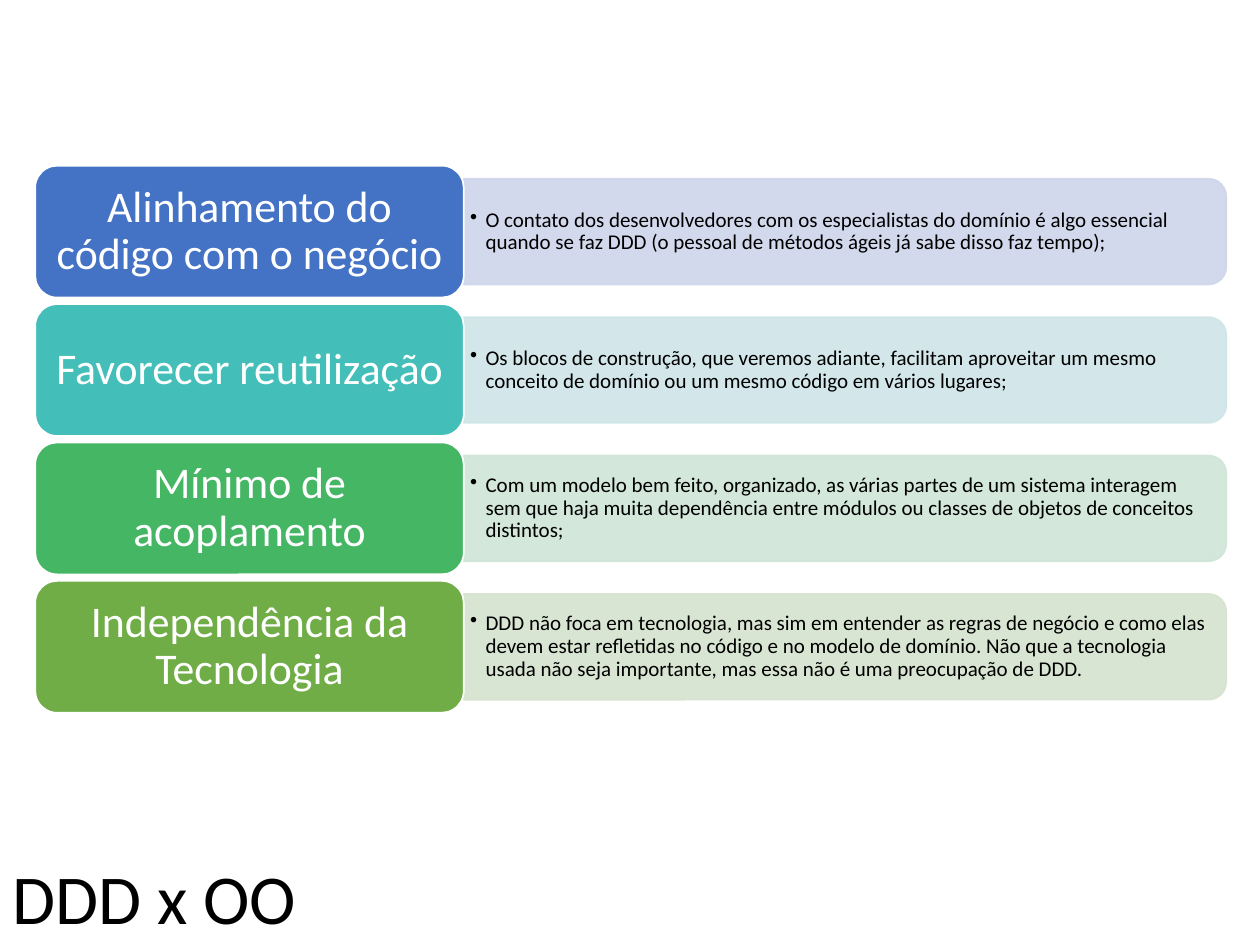
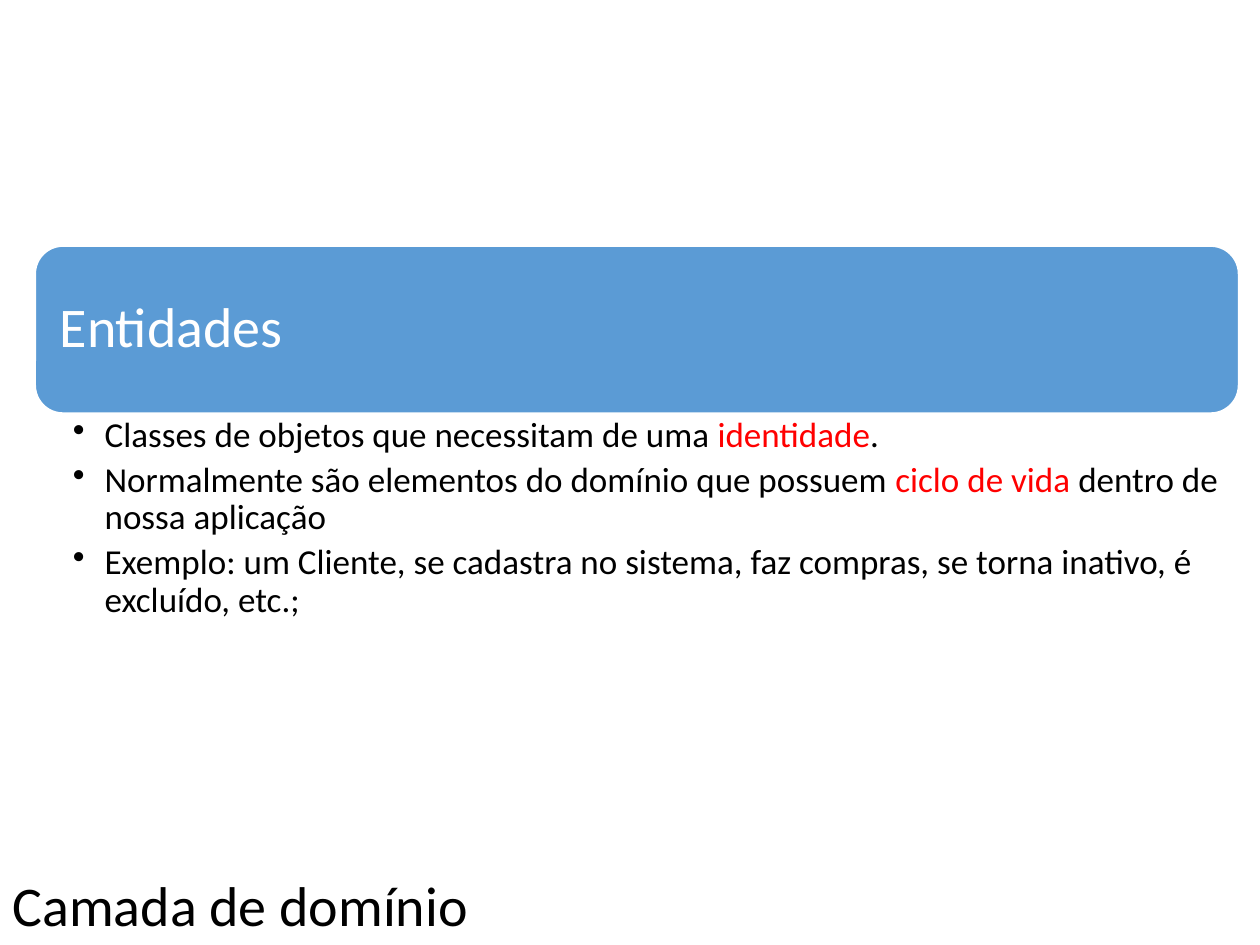
import pptx
import pptx.util
import pptx.dml.color
import pptx.enum.shapes
import pptx.enum.text
import pptx.oxml.ns
from lxml import etree

Cm, Pt = pptx.util.Cm, pptx.util.Pt
RGB = pptx.dml.color.RGBColor
Kind = pptx.enum.shapes.MSO_SHAPE
Align = pptx.enum.text.PP_ALIGN
Anchor = pptx.enum.text.MSO_ANCHOR
qn = pptx.oxml.ns.qn

WHITE = RGB(0xFF, 0xFF, 0xFF)
BLACK = RGB(0x00, 0x00, 0x00)
RED = RGB(0xFF, 0x00, 0x00)
INDIGO = RGB(0x44, 0x72, 0xC4)
TEAL = RGB(0x43, 0xBE, 0xB9)
GREEN = RGB(0x45, 0xB6, 0x64)
OLIVE = RGB(0x70, 0xAD, 0x47)
BLUE = RGB(0x5B, 0x9B, 0xD5)
PALE_INDIGO = RGB(0xCF, 0xD5, 0xEA)
PALE_TEAL = RGB(0xCF, 0xE5, 0xE8)
PALE_GREEN = RGB(0xCF, 0xE5, 0xD8)
PALE_OLIVE = RGB(0xD5, 0xE3, 0xCF)

WIDE, HIGH = 25.4, 19.05
LEFT = 0.71


def put(obj, **vals):
    for name, val in vals.items():
        setattr(obj, name, val)


class Deck:
    font = "Calibri"

    def __init__(self):
        self.prs = pptx.Presentation()
        put(self.prs, slide_width=Cm(WIDE), slide_height=Cm(HIGH))
        self.slide = None

    def page(self, title, top, size):
        """Start a slide with its title along the bottom edge."""
        self.slide = self.prs.slides.add_slide(self.prs.slide_layouts[5])
        head = self.slide.shapes.title
        put(head, left=Cm(0), top=Cm(top), width=Cm(WIDE), height=Cm(HIGH - top))
        self.frame(head, (0.25, 0.13, 0.25, 0.13), Anchor.TOP)
        self.words(head.text_frame.paragraphs[0], [(title, BLACK)], size,
                   alignment=Align.LEFT)

    def frame(self, shape, pads, anchor):
        left, top, right, base = map(Cm, pads)
        put(shape.text_frame, word_wrap=True, vertical_anchor=anchor,
            auto_size=pptx.enum.text.MSO_AUTO_SIZE.NONE,
            margin_left=left, margin_top=top,
            margin_right=right, margin_bottom=base)

    def words(self, par, runs, size, **style):
        put(par, **style)
        for text, color in runs:
            run = par.add_run()
            run.text = text
            put(run.font, name=self.font, size=Pt(size))
            run.font.color.rgb = color

    def block(self, kind, box, fill, line):
        shape = self.slide.shapes.add_shape(kind, *map(Cm, box))
        shape.shadow.inherit = False
        shape.fill.solid()
        shape.fill.fore_color.rgb = fill
        shape.line.color.rgb = line
        shape.line.width = Pt(1)
        return shape

    def card(self, box, fill, text, size, pads, align):
        """Rounded block with a white label."""
        shape = self.block(Kind.ROUNDED_RECTANGLE, box, fill, WHITE)
        self.frame(shape, pads, Anchor.MIDDLE)
        self.words(shape.text_frame.paragraphs[0], [(text, WHITE)], size,
                   alignment=align, line_spacing=0.9)

    def band(self, left, mid, wide, high, fill):
        """Pale strip, rounded at its right end: a turned upright shape."""
        box = (left + (wide - high) / 2, mid - wide / 2, high, wide)
        shape = self.block(Kind.ROUND_2_SAME_RECTANGLE, box, fill, fill)
        shape.rotation = 90
        for tone in shape.element.spPr.iter(qn("a:srgbClr")):
            etree.SubElement(tone, qn("a:alpha"), val="90000")

    def points(self, box, items, size, pads, anchor, indent, gap=0):
        """Bulleted text; each item is a list of (text, colour) runs."""
        area = self.slide.shapes.add_textbox(*map(Cm, box))
        self.frame(area, pads, anchor)
        for n, runs in enumerate(items):
            text = area.text_frame
            par = text.add_paragraph() if n else text.paragraphs[0]
            self.words(par, runs, size, alignment=Align.LEFT,
                       line_spacing=0.9, space_after=Pt(gap))
            props = par._p.get_or_add_pPr()
            props.set("marL", str(Cm(indent)))
            props.set("indent", str(-Cm(indent)))
            etree.SubElement(props, qn("a:buChar"), char="•")


deck = Deck()

# Slide 1: four goals, each a label with its explanation
deck.page("DDD x OO", 17.09, 40)
GOALS = [
    ("Alinhamento do código com o negócio", INDIGO, PALE_INDIGO,
     "O contato dos desenvolvedores com os especialistas do domínio é algo "
     "essencial quando se faz DDD (o pessoal de métodos ágeis já sabe disso "
     "faz tempo);"),
    ("Favorecer reutilização", TEAL, PALE_TEAL,
     "Os blocos de construção, que veremos adiante, facilitam aproveitar um "
     "mesmo conceito de domínio ou um mesmo código em vários lugares;"),
    ("Mínimo de acoplamento", GREEN, PALE_GREEN,
     "Com um modelo bem feito, organizado, as várias partes de um sistema "
     "interagem sem que haja muita dependência entre módulos ou classes de "
     "objetos de conceitos distintos;"),
    ("Independência da Tecnologia", OLIVE, PALE_OLIVE,
     "DDD não foca em tecnologia, mas sim em entender as regras de negócio e "
     "como elas devem estar refletidas no código e no modelo de domínio. Não "
     "que a tecnologia usada não seja importante, mas essa não é uma "
     "preocupação de DDD."),
]
TOP, STEP = 3.34, 2.79
CARD_W, CARD_H = 8.64, 2.66
BAND_W, BAND_H = 15.37, 2.13
TEXT_W, TEXT_H = 15.27, 1.91
edge = LEFT + CARD_W
for n, (label, dark, pale, note) in enumerate(GOALS):
    top = TOP + n * STEP
    mid = top + CARD_H / 2
    deck.band(edge, mid, BAND_W, BAND_H, pale)
    deck.points((edge, mid - TEXT_H / 2, TEXT_W, TEXT_H), [[(note, BLACK)]],
                12, (0.13, 0.08, 0.13, 0.08), Anchor.MIDDLE, 0.31)
    deck.card((LEFT, top, CARD_W, CARD_H), dark, label, 25,
              (0.25, 0.13, 0.25, 0.13), Align.CENTER)

# Slide 2: one concept with its traits
deck.page("Camada de domínio", 17.41, 32)
FULL_W, HEAD_TOP, HEAD_H = 24.26, 4.96, 3.37
deck.card((LEFT, HEAD_TOP, FULL_W, HEAD_H), BLUE, "Entidades", 32,
          (0.33, 0.33, 0.33, 0.33), Align.LEFT)
TRAITS = [
    [("Classes de objetos que necessitam de uma ", BLACK),
     ("identidade", RED), (".", BLACK)],
    [("Normalmente são elementos do domínio que possuem ", BLACK),
     ("ciclo de vida ", RED), ("dentro de nossa aplicação", BLACK)],
    [("Exemplo: um Cliente, se cadastra no sistema, faz compras, se torna "
      "inativo, é excluído, etc.;", BLACK)],
]
deck.points((LEFT, HEAD_TOP + HEAD_H, FULL_W, 4.39), TRAITS, 20,
            (0.76, 0.08, 0.41, 0.08), Anchor.TOP, 0.64, gap=4)

deck.prs.save("out.pptx")
